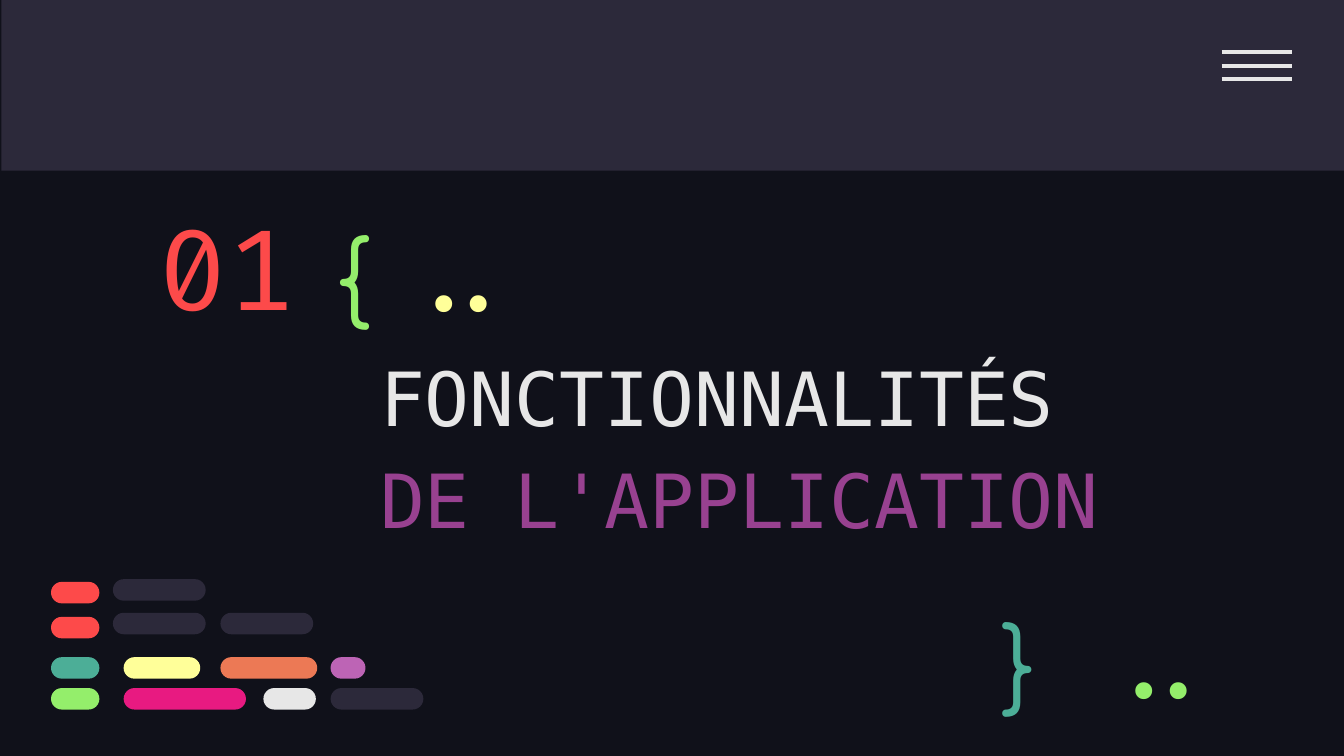
from dataclasses import dataclass
from typing import Any

from lxml.etree import SubElement
from pptx import Presentation
from pptx.dml.color import RGBColor
from pptx.enum.shapes import MSO_CONNECTOR, MSO_SHAPE
from pptx.enum.text import MSO_ANCHOR, PP_ALIGN
from pptx.oxml.ns import qn
from pptx.util import Inches, Pt

WIDE = Inches(10)
HIGH = WIDE * 9 // 16
CELL = WIDE // 100

NIGHT, SLATE, PALE = "10111A", "2C293A", "E7E7E7"
RED, TEAL, LIME, LEMON = "FD4A4A", "4CAE97", "94EE6B", "FFFF99"
CORAL, LILAC, PINK, PLUM = "EC7955", "BD64B5", "E81A81", "984190"
MONO, CODE, ROUND = "DejaVu Sans Mono", "Fira Code", "Comfortaa"
MID, TOP = MSO_ANCHOR.MIDDLE, MSO_ANCHOR.TOP
LEFT, RIGHT = PP_ALIGN.LEFT, PP_ALIGN.RIGHT


@dataclass
class Box:
    col: float
    row: float
    cols: float
    rows: float

    def emu(self) -> list[int]:
        return [round(n * CELL) for n in (self.col, self.row, self.cols, self.rows)]


@dataclass
class Label:
    box: Box
    runs: list[tuple[str, str]]
    font: str
    size: int
    anchor: Any = MID
    align: Any = LEFT
    lead: float | None = None


@dataclass
class Pill:
    col: float
    row: float
    cols: float
    tint: str


LABELS = [
    Label(Box(27.3, 26.3, 61.6, 13.1),
          [("FONCTIONNALITÉS ", PALE), ("DE L'APPLICATION", PLUM)],
          MONO, 40, lead=54.7),
    Label(Box(10.8, 14.8, 18.1, 10), [("01", RED)], CODE, 60),
    Label(Box(24, 15, 7.7, 9.5), [("{", LIME)], ROUND, 50, TOP),
    Label(Box(73.5, 43.8, 5.7, 8.3), [("}", TEAL)], ROUND, 50, TOP),
    Label(Box(81, 46.2, 10.7, 6), [("..", LIME)], CODE, 50, align=RIGHT),
    Label(Box(28.9, 17.4, 10.7, 6), [("..", LEMON)], CODE, 50, align=RIGHT),
]

TAGS = [(43.3, RED), (45.9, RED), (48.9, TEAL), (51.2, LIME)]
PILLS = [Pill(3.8, row, 3.6, tint) for row, tint in TAGS] + [
    Pill(8.4, 43.1, 6.9, SLATE),
    Pill(8.4, 45.6, 6.9, SLATE),
    Pill(16.4, 45.6, 6.9, SLATE),
    Pill(9.2, 48.9, 5.7, LEMON),
    Pill(16.4, 48.9, 7.2, CORAL),
    Pill(24.6, 48.9, 2.6, LILAC),
    Pill(9.2, 51.2, 9.1, PINK),
    Pill(19.6, 51.2, 3.9, PALE),
    Pill(24.6, 51.2, 6.9, SLATE),
]


def paint(fmt: Any, tint: str) -> None:
    fmt.solid()
    fmt.fore_color.rgb = RGBColor.from_string(tint)


def apply(item: Any, form: dict[str, Any]) -> None:
    for name, value in form.items():
        setattr(item, name, value)


def block(shapes: Any, kind: Any, box: Box, tint: str) -> Any:
    shape = shapes.add_shape(kind, *box.emu())
    shape.shadow.inherit = False
    shape.line.fill.background()
    paint(shape.fill, tint)
    return shape


def menu(shapes: Any) -> None:
    group = shapes.add_group_shape().shapes
    for step in range(3):
        left, top, wide, _ = Box(90.9, 3.9 + step, 5.2, 0).emu()
        line = group.add_connector(MSO_CONNECTOR.STRAIGHT, left, top, left + wide, top)
        paint(line.line.fill, PALE)
        line.line.width = Pt(2.25)
        SubElement(line._element.spPr, qn("a:effectLst"))


def write(shapes: Any, label: Label) -> None:
    frame = shapes.add_textbox(*label.box.emu()).text_frame
    pad = {f"margin_{side}": CELL for side in ("left", "top", "right", "bottom")}
    apply(frame, {"word_wrap": True, "vertical_anchor": label.anchor, **pad})
    para = frame.paragraphs[0]
    apply(para, {"alignment": label.align,
                 "line_spacing": Pt(label.lead) if label.lead else None})
    for text, tint in label.runs:
        run = para.add_run()
        run.text = text
        apply(run.font, {"name": label.font, "size": Pt(label.size)})
        paint(run.font.fill, tint)


def main() -> None:
    deck = Presentation()
    apply(deck, {"slide_width": WIDE, "slide_height": HIGH})
    slide = deck.slides.add_slide(deck.slide_layouts[6])
    paint(slide.background.fill, NIGHT)
    shapes = slide.shapes
    block(shapes, MSO_SHAPE.RECTANGLE, Box(0.1, 0, 99.9, 12.7), SLATE)
    menu(shapes)
    for label in LABELS:
        write(shapes, label)
    group = shapes.add_group_shape().shapes
    for pill in PILLS:
        box = Box(pill.col, pill.row, pill.cols, 1.6)
        block(group, MSO_SHAPE.ROUNDED_RECTANGLE, box, pill.tint).adjustments[0] = 0.5
    deck.save("out.pptx")


if __name__ == "__main__":
    main()
